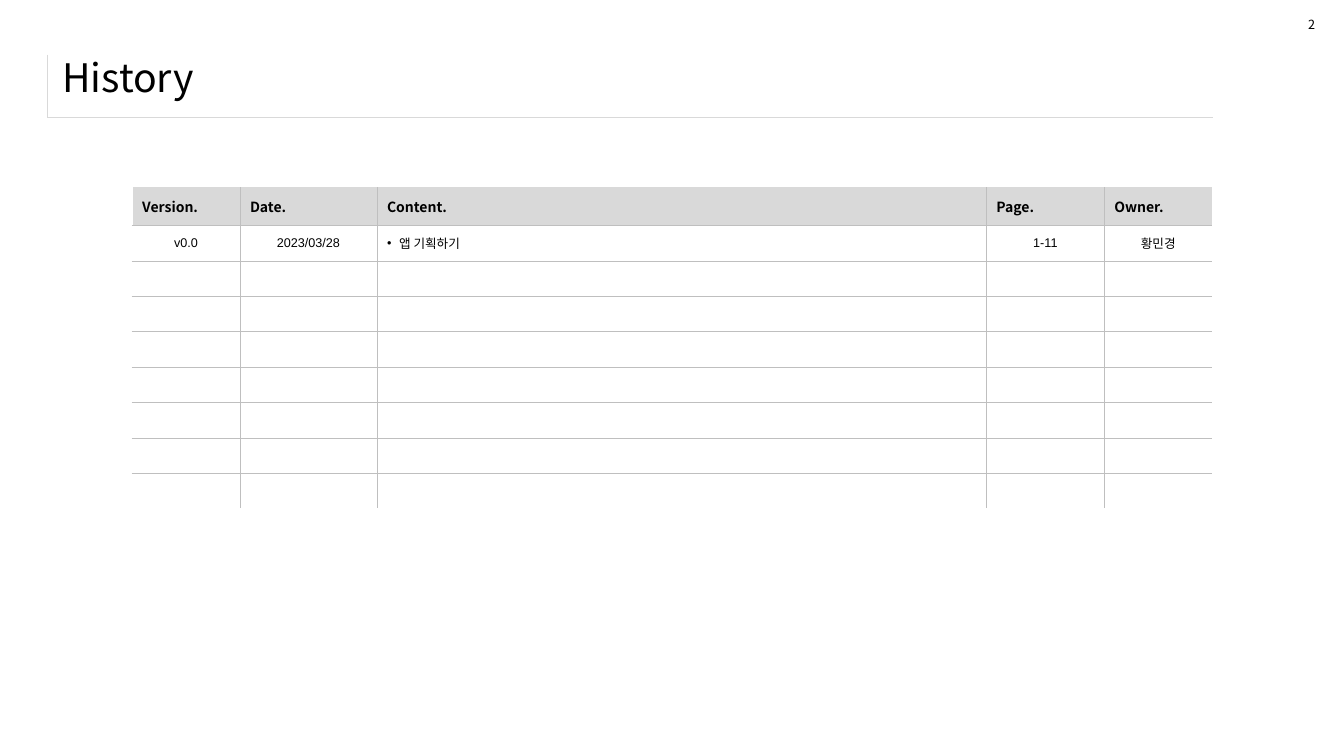
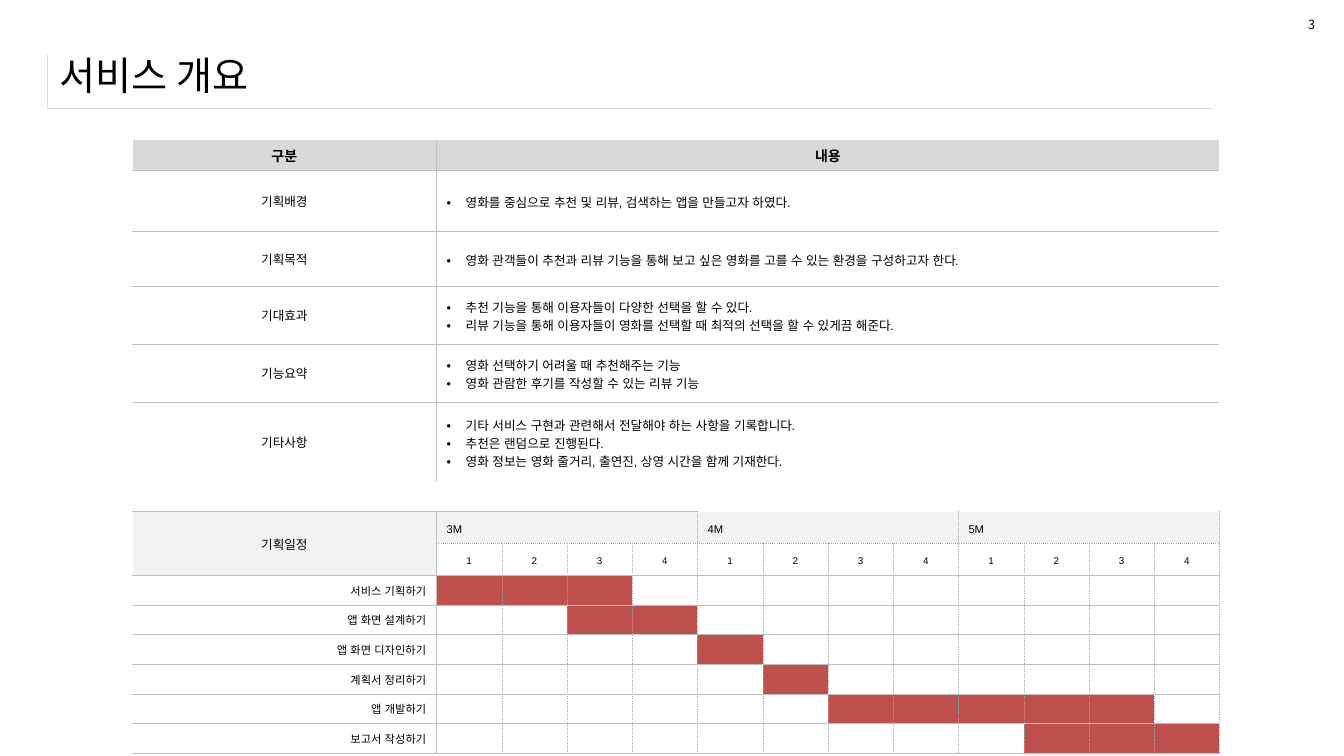
"""Build the History and service overview slides."""
from dataclasses import dataclass

from lxml import etree
from pptx import Presentation
from pptx.dml.color import RGBColor
from pptx.enum import text
from pptx.oxml.ns import qn
from pptx.util import Pt


@dataclass(frozen=True)
class Theme:
    ink: str = "000000"
    white: str = "FFFFFF"
    frame: str = "D9D9D9"
    head: str = "D9D9D9"
    band: str = "F2F2F2"
    grid: str = "BFBFBF"
    dots: str = "A6A6A6"
    bar: str = "C0504D"
    sans: str = "Noto Sans CJK KR"
    body: str = "Arial"
    title_size: int = 28
    head_size: int = 10
    body_size: int = 9
    task_size: int = 8
    week_size: int = 7
    hairline: float = 0.25


T = Theme()
FRAME = (T.frame, T.hairline, "solid")
GRID = (T.grid, T.hairline, "solid")
DOTS = (T.dots, T.hairline, "sysDot")
BLANK = (T.white, 1, "solid")
NO_STYLE = "{2D5ABB26-0587-4C30-8999-92F81FD0307C}"
LEFT, CENTER, RIGHT, JUSTIFY = (text.PP_ALIGN.LEFT, text.PP_ALIGN.CENTER,
                                text.PP_ALIGN.RIGHT, text.PP_ALIGN.JUSTIFY)


def put(tf, *lines, size=T.body_size, font=T.body, bold=False, align=LEFT,
        spacing=None, bullet=0):
    """Write one paragraph per line in the given format."""
    tf.vertical_anchor = text.MSO_ANCHOR.MIDDLE
    for i, line in enumerate(lines):
        p = tf.add_paragraph() if i else tf.paragraphs[0]
        p.alignment = align
        if spacing:
            p.line_spacing = spacing
        if bullet:
            pPr = p._p.get_or_add_pPr()
            pPr.set("marL", str(Pt(bullet)))
            pPr.set("indent", str(-Pt(bullet)))
            etree.SubElement(pPr, qn("a:buFont"), typeface=T.body)
            etree.SubElement(pPr, qn("a:buChar"), char="•")
        if line:
            r = p.add_run()
            r.text = line
            r.font.size, r.font.bold, r.font.name = Pt(size), bold, font
            r.font.color.rgb = RGBColor.from_string(T.ink)
            etree.SubElement(r._r.get_or_add_rPr(), qn("a:ea"), typeface=font)
        etree.SubElement(p._p, qn("a:endParaRPr"), sz=str(size * 100))


def dress(cell, fill=None, l=None, r=None, t=None, b=None):
    """Set the borders and the fill of a table cell."""
    tcPr = cell._tc.get_or_add_tcPr()
    for tag, edge in (("lnL", l), ("lnR", r), ("lnT", t), ("lnB", b)):
        if edge:
            color, width, dash = edge
            ln = etree.SubElement(tcPr, qn(f"a:{tag}"), w=str(Pt(width)))
            solid = etree.SubElement(ln, qn("a:solidFill"))
            etree.SubElement(solid, qn("a:srgbClr"), val=color)
            etree.SubElement(ln, qn("a:prstDash"), val=dash)
    if fill:
        cell.fill.solid()
        cell.fill.fore_color.rgb = RGBColor.from_string(fill)
    else:
        cell.fill.background()
    cell.vertical_anchor = text.MSO_ANCHOR.MIDDLE


prs = Presentation()
prs.slide_width, prs.slide_height = Pt(960), Pt(540)

pages = [
    dict(title="History", number="2", title_box=(37.4, 32.2, 899.3, 45.4),
         frame_height=44.6, table_top=133.8,
         cols=[77, 97.9, 435.3, 84.3, 77], rows=[27.1] + [25.3] * 8),
    dict(title="서비스 개요", number="3", title_box=(35.6, 29.3, 899.3, 48.2),
         frame_height=38.2, table_top=100,
         cols=[217.4] + [46.62] * 12,
         rows=[21.6, 43.4, 39.4, 41.3, 41.3, 57.4, 20.9, 22.8, 22.8] + [21.2] * 6),
]
tables = []
for page in pages:
    s = prs.slides.add_slide(prs.slide_layouts[5])

    title = s.shapes.title
    title.left, title.top, title.width, title.height = map(Pt, page["title_box"])
    title.text_frame.auto_size = text.MSO_AUTO_SIZE.NONE
    put(title.text_frame, page["title"], size=T.title_size, font=T.sans)

    for left, top, cols, rows in (
            (33.8, 39.1, [832.4], [page["frame_height"]]),
            (94.4, page["table_top"], page["cols"], page["rows"])):
        table = s.shapes.add_table(len(rows), len(cols), Pt(left), Pt(top),
                                   Pt(sum(cols)), Pt(sum(rows))).table
        table.first_row = table.horz_banding = False
        table._tbl.tblPr.find(qn("a:tableStyleId")).text = NO_STYLE
        for column, width in zip(table.columns, cols):
            column.width = Pt(width)
        for row, height in zip(table.rows, rows):
            row.height = Pt(height)
        tables.append(table)

    number = s.shapes.add_textbox(Pt(927.4), Pt(8.6), Pt(19.4), Pt(18))
    number.text_frame.word_wrap = False
    put(number.text_frame, page["number"], font=T.sans)

history_frame, history, overview_frame, overview = tables
for frame in (history_frame, overview_frame):
    dress(frame.cell(0, 0), l=FRAME, b=FRAME)
    put(frame.cell(0, 0).text_frame, "")

headings = ["Version.", "Date.", "Content.", "Page.", "Owner."]
entry = ["v0.0", "2023/03/28", "앱 기획하기", "1-11", "황민경"]
last_row, last_col = len(history.rows) - 1, len(headings) - 1
for y in range(last_row + 1):
    for x in range(last_col + 1):
        cell = history.cell(y, x)
        if y == 0:
            put(cell.text_frame, headings[x], size=T.head_size, font=T.sans, bold=True)
        elif y > 1:
            put(cell.text_frame, "")
        elif headings[x] == "Content.":
            put(cell.text_frame, entry[x], font=T.sans, bullet=8.6)
        else:
            put(cell.text_frame, entry[x], align=CENTER,
                font=T.sans if headings[x] == "Owner." else T.body)
        dress(cell, fill=None if y else T.head,
              l=GRID if x else BLANK, r=GRID if x < last_col else None,
              t=GRID if y else None, b=GRID if y < last_row else BLANK)

sections = [
    ("구분", ["내용"]),
    ("기획배경", ["영화를 중심으로 추천 및 리뷰, 검색하는 앱을 만들고자 하였다."]),
    ("기획목적", ["영화 관객들이 추천과 리뷰 기능을 통해 보고 싶은 영화를 고를 수 있는 "
              "환경을 구성하고자 한다."]),
    ("기대효과", ["추천 기능을 통해 이용자들이 다양한 선택을 할 수 있다.",
              "리뷰 기능을 통해 이용자들이 영화를 선택할 때 최적의 선택을 할 수 있게끔 해준다."]),
    ("기능요약", ["영화 선택하기 어려울 때 추천해주는 기능",
              "영화 관람한 후기를 작성할 수 있는 리뷰 기능"]),
    ("기타사항", ["기타 서비스 구현과 관련해서 전달해야 하는 사항을 기록합니다.",
              "추천은 랜덤으로 진행된다.",
              "영화 정보는 영화 줄거리, 출연진, 상영 시간을 함께 기재한다."]),
]
weeks = 12
for y, (label, lines) in enumerate(sections):
    name, detail = overview.cell(y, 0), overview.cell(y, 1)
    detail.merge(overview.cell(y, weeks))
    edges = dict(fill=None if y else T.head, t=GRID if y else None,
                 b=GRID if y < len(sections) - 1 else BLANK)
    dress(name, l=BLANK, r=GRID, **edges)
    dress(detail, l=GRID, **edges)
    if y:
        put(name.text_frame, label, align=CENTER, spacing=1.2)
        put(detail.text_frame, *lines, align=JUSTIFY, spacing=1.3, bullet=13.7)
    else:
        for cell, heading in ((name, label), (detail, lines[0])):
            put(cell.text_frame, heading, size=T.head_size, font=T.sans,
                bold=True, align=CENTER)

gap_y = len(sections)
month_y, week_y, task_y = gap_y + 1, gap_y + 2, gap_y + 3
gap = overview.cell(gap_y, 0)
gap.merge(overview.cell(gap_y, weeks))
dress(gap, l=BLANK, t=BLANK, b=GRID)
put(gap.text_frame, "", size=T.week_size)

schedule = overview.cell(month_y, 0)
schedule.merge(overview.cell(week_y, 0))
dress(schedule, fill=T.band, l=BLANK, r=GRID, t=GRID, b=GRID)
put(schedule.text_frame, "기획일정", align=CENTER, spacing=1.2)

for i, month in enumerate(["3M", "4M", "5M"]):
    cell = overview.cell(month_y, 1 + 4 * i)
    cell.merge(overview.cell(month_y, 4 + 4 * i))
    dress(cell, fill=T.band, l=DOTS if i else GRID, r=DOTS,
          t=BLANK if i else GRID, b=DOTS)
    put(cell.text_frame, month, size=T.task_size, align=JUSTIFY, spacing=1.3)

for x in range(1, weeks + 1):
    cell = overview.cell(week_y, x)
    dress(cell, l=DOTS if x > 1 else GRID, r=DOTS, t=DOTS, b=GRID)
    put(cell.text_frame, str((x - 1) % 4 + 1), size=T.week_size,
        align=CENTER, spacing=1.3)

tasks = [("서비스 기획하기", 1, 3), ("앱 화면 설계하기", 3, 4), ("앱 화면 디자인하기", 5, 5),
         ("계획서 정리하기", 6, 6), ("앱 개발하기", 7, 11), ("보고서 작성하기", 10, 12)]
for y, (task, first, last) in enumerate(tasks, task_y):
    name = overview.cell(y, 0)
    dress(name, l=BLANK, r=GRID, t=GRID, b=GRID)
    put(name.text_frame, task, size=T.task_size, align=RIGHT, spacing=1.2)
    for x in range(1, weeks + 1):
        cell = overview.cell(y, x)
        dress(cell, fill=T.bar if first <= x <= last else None,
              l=DOTS if x > 1 else GRID, r=DOTS, t=GRID, b=GRID)
        put(cell.text_frame, "", size=T.week_size)

prs.save("out.pptx")
